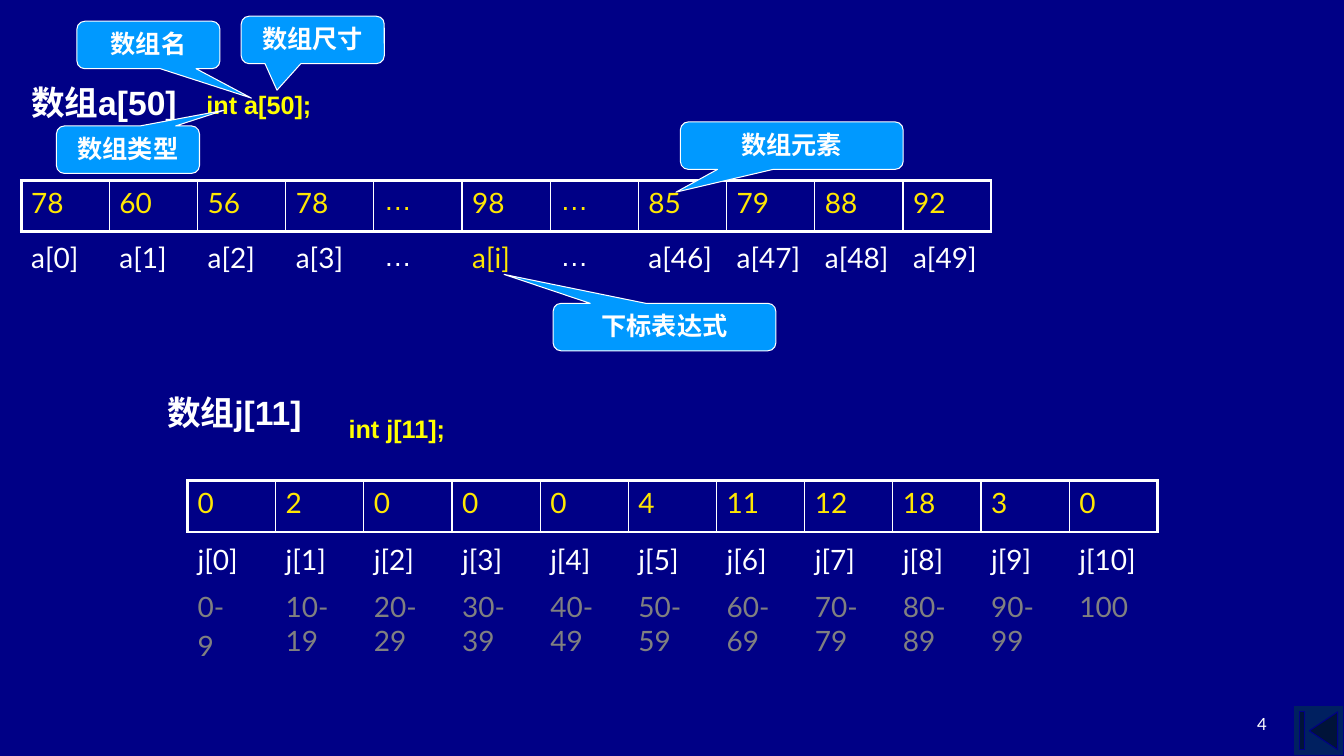
from dataclasses import dataclass

from lxml import etree
from pptx import Presentation
from pptx.dml.color import RGBColor
from pptx.enum.shapes import MSO_SHAPE
from pptx.enum.text import MSO_ANCHOR, MSO_AUTO_SIZE, PP_ALIGN
from pptx.oxml.ns import qn
from pptx.slide import Slide
from pptx.table import _Cell as Cell
from pptx.text.text import TextFrame
from pptx.util import Pt

NAVY = RGBColor(0x00, 0x00, 0x86)
BUTTON_BLUE = RGBColor(0x00, 0x20, 0x60)
CALLOUT_BLUE = RGBColor(0x00, 0x99, 0xFF)
WHITE = RGBColor(0xFF, 0xFF, 0xFF)
GOLD = RGBColor(0xFF, 0xE7, 0x01)
YELLOW = RGBColor(0xFF, 0xFF, 0x00)
GRAY = RGBColor(0x80, 0x80, 0x80)

COLUMN_WIDTH = 63
OUTER_BORDER, INNER_BORDER = 2.25, 1
ELLIPSIS = "…"
NO_STYLE = "{2D5ABB26-0587-4C30-8999-92F81FD0307C}"


@dataclass(frozen=True)
class ArrayRow:
    left: float
    top: float
    height: float
    texts: list[str]
    color: RGBColor
    bordered: bool = False


@dataclass(frozen=True)
class Label:
    text: str
    left: float
    top: float
    width: float
    height: float
    size: float
    color: RGBColor


@dataclass(frozen=True)
class Callout:
    text: str
    left: float
    top: float
    width: float
    tail_x: float
    tail_y: float


A_LEFT, J_LEFT = 15.1, 133.9
ROWS = [
    ArrayRow(A_LEFT, 128.9, 36.7,
             ["78", "60", "56", "78", ELLIPSIS, "98", ELLIPSIS, "85", "79", "88", "92"],
             GOLD, bordered=True),
    ArrayRow(A_LEFT, 168.5, 33.8,
             [f"a[{index}]" if index != ELLIPSIS else ELLIPSIS
              for index in (0, 1, 2, 3, ELLIPSIS, "i", ELLIPSIS, 46, 47, 48, 49)],
             WHITE),
    ArrayRow(J_LEFT, 343.4, 36.7,
             ["0", "2", "0", "0", "0", "4", "11", "12", "18", "3", "0"],
             GOLD, bordered=True),
    ArrayRow(J_LEFT, 383.8, 33.8, [f"j[{index}]" for index in range(11)], WHITE),
    ArrayRow(J_LEFT, 417.6, 59.8,
             ["0-\n9", *(f"{start}-{start + 9}" for start in range(10, 100, 10)), "100"],
             GRAY),
]

LABELS = [
    Label("数组a[50]", 15.1, 54.7, 136, 36, 24, WHITE),
    Label("数组j[11]", 112.3, 276.5, 136, 36, 24, WHITE),
    Label("int a[50];", 140.4, 60.5, 90.7, 28.8, 18, YELLOW),
    Label("int j[11];", 241.9, 291.6, 90.7, 28.8, 18, YELLOW),
]

NARROW, WIDE, CALLOUT_HEIGHT = 102.2, 159.1, 33.9
CALLOUTS = [
    Callout("数组名", 54.9, 15.2, NARROW, 0.72, 1.12),
    Callout("数组元素", 486, 87.1, WIDE, -0.52, 0.98),
    Callout("下标表达式", 395.1, 216.7, WIDE, -0.72, -1.11),
    Callout("数组尺寸", 172.3, 11.6, NARROW, -0.25, 1.06),
    Callout("数组类型", 40.3, 90, NARROW, 0.67, -0.83),
]


def write_text(frame: TextFrame, text: str, *, size: float, color: RGBColor,
               font: str = "Arial", bold: bool = False,
               align: PP_ALIGN = PP_ALIGN.LEFT, gap: float = 0) -> None:
    """Write one paragraph per line, with a gap before all but the first."""
    for number, line in enumerate(text.split("\n")):
        paragraph = frame.add_paragraph() if number else frame.paragraphs[0]
        paragraph.alignment = align
        paragraph.space_before = Pt(gap if number else 0)
        run = paragraph.add_run()
        run.text = line
        run.font.name = font
        run.font.size = Pt(size)
        run.font.bold = bold
        run.font.color.rgb = color


def add_border(cell: Cell, side: str, width: float) -> None:
    properties = cell._tc.get_or_add_tcPr()
    line = etree.SubElement(properties, qn(f"a:ln{side}"), w=str(Pt(width)))
    fill = etree.SubElement(line, qn("a:solidFill"))
    etree.SubElement(fill, qn("a:srgbClr"), val=str(WHITE))


def add_array_row(slide: Slide, row: ArrayRow) -> None:
    count = len(row.texts)
    table = slide.shapes.add_table(1, count, Pt(row.left), Pt(row.top),
                                   Pt(COLUMN_WIDTH * count), Pt(row.height)).table
    table.first_row = table.horz_banding = False
    table._tbl.tblPr.find(qn("a:tableStyleId")).text = NO_STYLE
    for column, text in enumerate(row.texts):
        cell = table.cell(0, column)
        if row.bordered:
            add_border(cell, "L", OUTER_BORDER if column == 0 else INNER_BORDER)
            add_border(cell, "R", OUTER_BORDER if column == count - 1 else INNER_BORDER)
            add_border(cell, "T", OUTER_BORDER)
            add_border(cell, "B", OUTER_BORDER)
        cell.fill.background()
        write_text(cell.text_frame, text, size=20, gap=4,
                   color=GOLD if text == "a[i]" else row.color,
                   font="Arial" if text == ELLIPSIS else "Lato")


def add_label(slide: Slide, label: Label) -> None:
    box = slide.shapes.add_textbox(Pt(label.left), Pt(label.top),
                                   Pt(label.width), Pt(label.height))
    box.text_frame.word_wrap = True
    box.text_frame.auto_size = MSO_AUTO_SIZE.SHAPE_TO_FIT_TEXT
    write_text(box.text_frame, label.text, size=label.size, color=label.color, bold=True)


def add_callout(slide: Slide, callout: Callout) -> None:
    shape = slide.shapes.add_shape(MSO_SHAPE.ROUNDED_RECTANGULAR_CALLOUT,
                                   Pt(callout.left), Pt(callout.top),
                                   Pt(callout.width), Pt(CALLOUT_HEIGHT))
    shape.adjustments[0] = callout.tail_x
    shape.adjustments[1] = callout.tail_y
    shape.shadow.inherit = False
    shape.fill.solid()
    shape.fill.fore_color.rgb = CALLOUT_BLUE
    shape.line.color.rgb = WHITE
    shape.line.width = Pt(0.75)
    shape.text_frame.vertical_anchor = MSO_ANCHOR.TOP
    write_text(shape.text_frame, callout.text, size=18, color=WHITE, bold=True,
               align=PP_ALIGN.CENTER)


def add_footer(slide: Slide) -> None:
    button = slide.shapes.add_shape(MSO_SHAPE.ACTION_BUTTON_BEGINNING,
                                    Pt(924), Pt(504), Pt(36), Pt(36))
    button.shadow.inherit = False
    button.fill.solid()
    button.fill.fore_color.rgb = BUTTON_BLUE
    button.line.color.rgb = NAVY
    button.line.width = Pt(0.75)
    number = slide.shapes.add_textbox(Pt(688), Pt(492), Pt(224), Pt(36))
    number.text_frame.word_wrap = True
    number.text_frame.vertical_anchor = MSO_ANCHOR.BOTTOM
    write_text(number.text_frame, "4", size=12, color=WHITE, font="Lato",
               align=PP_ALIGN.RIGHT)


def main() -> None:
    presentation = Presentation()
    presentation.slide_width, presentation.slide_height = Pt(960), Pt(540)
    slide = presentation.slides.add_slide(presentation.slide_layouts.get_by_name("Blank"))
    slide.background.fill.solid()
    slide.background.fill.fore_color.rgb = NAVY

    # Button and slide number
    add_footer(slide)
    # Array values, subscripts and score ranges
    for row in ROWS:
        add_array_row(slide, row)
    # Headings and declarations
    for label in LABELS:
        add_label(slide, label)
    # Explanations
    for callout in CALLOUTS:
        add_callout(slide, callout)

    presentation.save("out.pptx")


if __name__ == "__main__":
    main()
